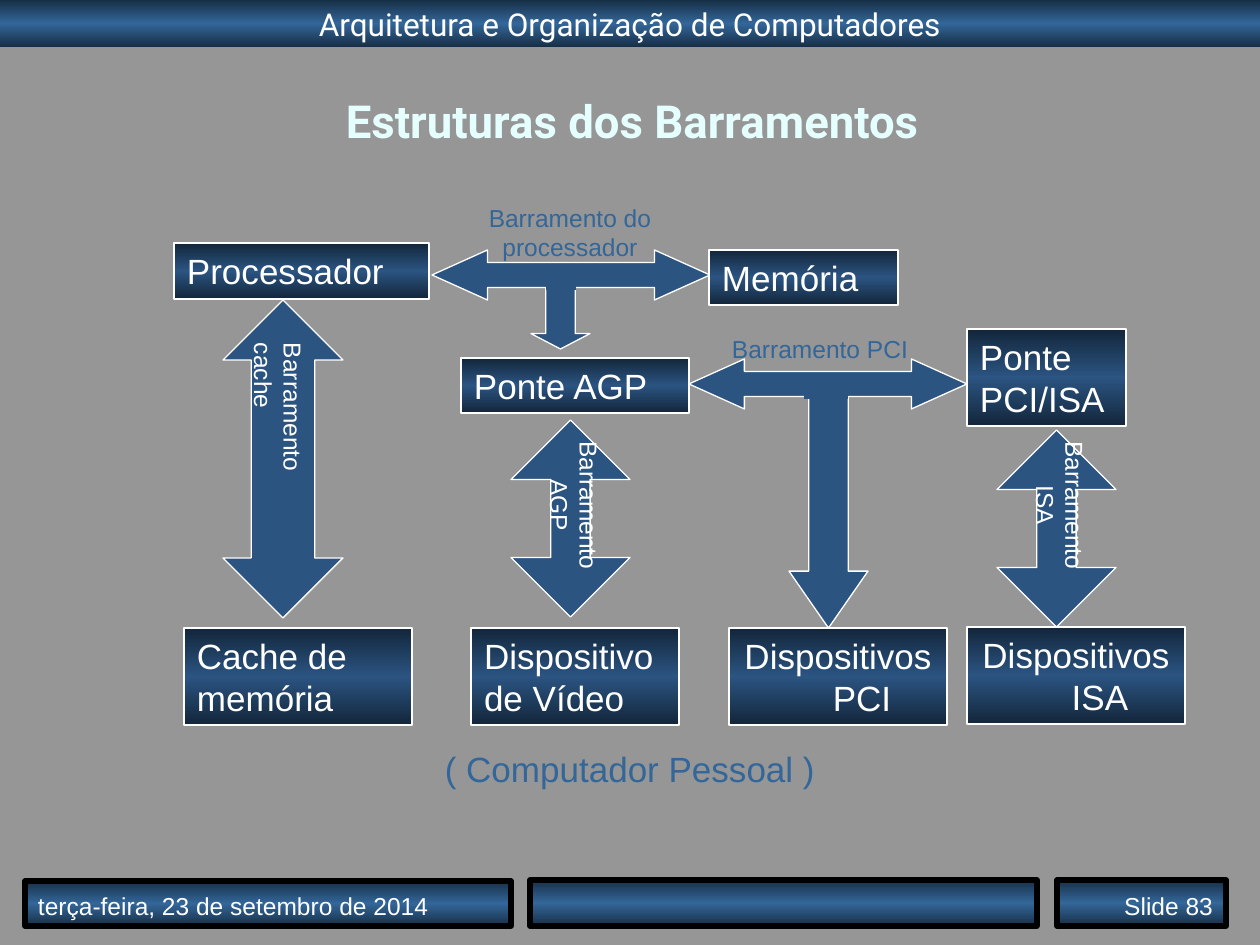
import copy

import lxml.etree
import pptx
import pptx.dml.color
import pptx.enum.shapes
import pptx.enum.text
import pptx.oxml.ns
import pptx.util

COLORS = {
    "back": "969696", "white": "FFFFFF", "title": "E5FFFF", "blue": "336699",
    "bar": "172F46", "box": "13263B", "arrow": "2B5481", "black": "000000",
}
ALIGN = pptx.enum.text.PP_ALIGN
ANCHOR = pptx.enum.text.MSO_ANCHOR
SHAPE = pptx.enum.shapes.MSO_SHAPE
qn = pptx.oxml.ns.qn


def px(n):
    return pptx.util.Emu(round(n * 914400 / 126))


def rgb(name):
    return pptx.dml.color.RGBColor.from_string(COLORS[name])


def write(shape, text, size=20, font="Arial", color="white", bold=False,
          align=ALIGN.LEFT, anchor=ANCHOR.TOP, space=None, shift=0, vert=False):
    """Fill a shape with text; shift indents the lines after the first."""
    frame = shape.text_frame
    frame.word_wrap = True
    frame.auto_size = pptx.enum.text.MSO_AUTO_SIZE.NONE
    frame.vertical_anchor = anchor
    wide, thin = px(13), px(6)
    if vert:
        frame._txBody.bodyPr.set("vert", "eaVert")
        wide, thin = thin, wide
    frame.margin_left = frame.margin_right = wide
    frame.margin_top = frame.margin_bottom = thin
    frame.text = text
    for i, para in enumerate(frame.paragraphs):
        if i and shift:
            para._p.get_or_add_pPr().set("marL", str(px(shift)))
        para.alignment = align
        para.line_spacing = space
        for run in para.runs:
            run.font.size = pptx.util.Pt(size)
            run.font.name = font
            run.font.bold = bold
            run.font.color.rgb = rgb(color)


class Deck:
    def __init__(self):
        self.show = pptx.Presentation()
        self.show.slide_width, self.show.slide_height = px(1260), px(945)
        self.slide = self.show.slides.add_slide(self.show.slide_layouts[5])
        fill = self.slide.background.fill
        fill.solid()
        fill.fore_color.rgb = rgb("back")

    def title(self, text, *place):
        shape = self.slide.shapes.title
        shape.left, shape.top, shape.width, shape.height = map(px, place)
        write(shape, text, size=26, font="Roboto", color="title", bold=True,
              align=ALIGN.CENTER, space=0.6)

    def shape(self, kind, place, line, weight):
        item = self.slide.shapes.add_shape(kind, *map(px, place))
        item.shadow.inherit = False
        if line:
            item.line.color.rgb = rgb(line)
            item.line.width = pptx.util.Pt(weight)
        else:
            item.line.fill.background()
        return item

    def panel(self, place, text="", edge="box", core="arrow", line="white",
              weight=0.75, **style):
        """Add a rectangle shaded from edge to core and back."""
        item = self.shape(SHAPE.RECTANGLE, place, line, weight)
        item.fill.gradient()
        item.fill.gradient_angle = 270
        stops = item._element.spPr.find(qn("a:gradFill")).find(qn("a:gsLst"))
        stops.insert(1, copy.deepcopy(stops[0]))
        names = (edge, core, edge)
        for i, (stop, name) in enumerate(zip(item.fill.gradient_stops, names)):
            stop.position = i / 2
            stop.color.rgb = rgb(name)
        if text:
            write(item, text, **style)

    def arrow(self, kind, place, head):
        item = self.shape(kind, place, "white", 0.75)
        item.adjustments[0], item.adjustments[1] = 0.5, head
        item.fill.solid()
        item.fill.fore_color.rgb = rgb("arrow")

    def label(self, place, text, **style):
        write(self.slide.shapes.add_textbox(*map(px, place)), text, **style)

    def seam(self, *ends):
        """Hide the outline where two arrows join."""
        line = self.slide.shapes.add_connector(
            pptx.enum.shapes.MSO_CONNECTOR.STRAIGHT, *map(px, ends))
        line.line.color.rgb = rgb("arrow")
        line.line.width = pptx.util.Pt(3)
        lxml.etree.SubElement(line._element.spPr, qn("a:effectLst"))


def frame(deck):
    bar = {"edge": "bar", "core": "blue"}
    deck.panel((0, 0, 1260, 47), "Arquitetura e Organização de Computadores",
               line=None, size=18, font="Roboto", align=ALIGN.CENTER,
               anchor=ANCHOR.MIDDLE, **bar)
    foot = dict(bar, line="black", weight=3, size=14, anchor=ANCHOR.BOTTOM)
    deck.panel((25, 881, 486, 45), "terça-feira, 23 de setembro de 2014", **foot)
    deck.panel((530, 880, 507, 46), **foot)
    deck.panel((1057, 880, 169, 46), "Slide 83", align=ALIGN.RIGHT, **foot)


def main():
    deck = Deck()
    frame(deck)
    deck.title("Estruturas dos Barramentos", 5, 106, 1255, 45)

    for place, head in (((223, 300, 120, 318), 0.53),
                        ((511, 420, 119, 197), 0.33),
                        ((997, 430, 119, 197), 0.33)):
        deck.arrow(SHAPE.UP_DOWN_ARROW, place, head)
    for left, top in ((432, 250), (689, 359)):
        deck.arrow(SHAPE.LEFT_RIGHT_ARROW, (left, top, 278, 50), 1.11)
    for place, head, ends in (
            ((531, 288, 59, 61), 0.26, (546, 287, 576, 287)),
            ((789, 397, 79, 231), 0.72, (804, 396, 848, 396))):
        deck.arrow(SHAPE.DOWN_ARROW, place, head)
        deck.seam(*ends)

    for place, text in (((174, 243, 255, 56), "Processador"),
                        ((709, 250, 189, 55), "Memória"),
                        ((461, 358, 228, 55), "Ponte AGP"),
                        ((967, 329, 159, 97), "Ponte PCI/ISA"),
                        ((184, 628, 228, 97), "Cache de memória"),
                        ((471, 628, 208, 97), "Dispositivo de Vídeo")):
        deck.panel(place, text)
    for left, top, bus in ((729, 628, "PCI"), (967, 627, "ISA")):
        deck.panel((left, top, 218, 97), f"Dispositivos\n{bus}",
                   align=ALIGN.CENTER, shift=48)

    deck.label((231, 330, 83, 198), "Barramento cache", size=14, vert=True)
    for left, bus in ((527, "AGP"), (1013, "ISA")):
        deck.label((left, 428, 83, 159), f"Barramento {bus}", size=14,
                   align=ALIGN.CENTER, vert=True)
    deck.label((461, 197, 218, 72), "Barramento do processador", size=14,
               color="blue", align=ALIGN.CENTER)
    deck.label((719, 328, 218, 43), "Barramento PCI", size=14, color="blue")
    deck.label((0, 741, 1260, 55), "( Computador Pessoal )", color="blue",
               align=ALIGN.CENTER)
    deck.show.save("out.pptx")


if __name__ == "__main__":
    main()
